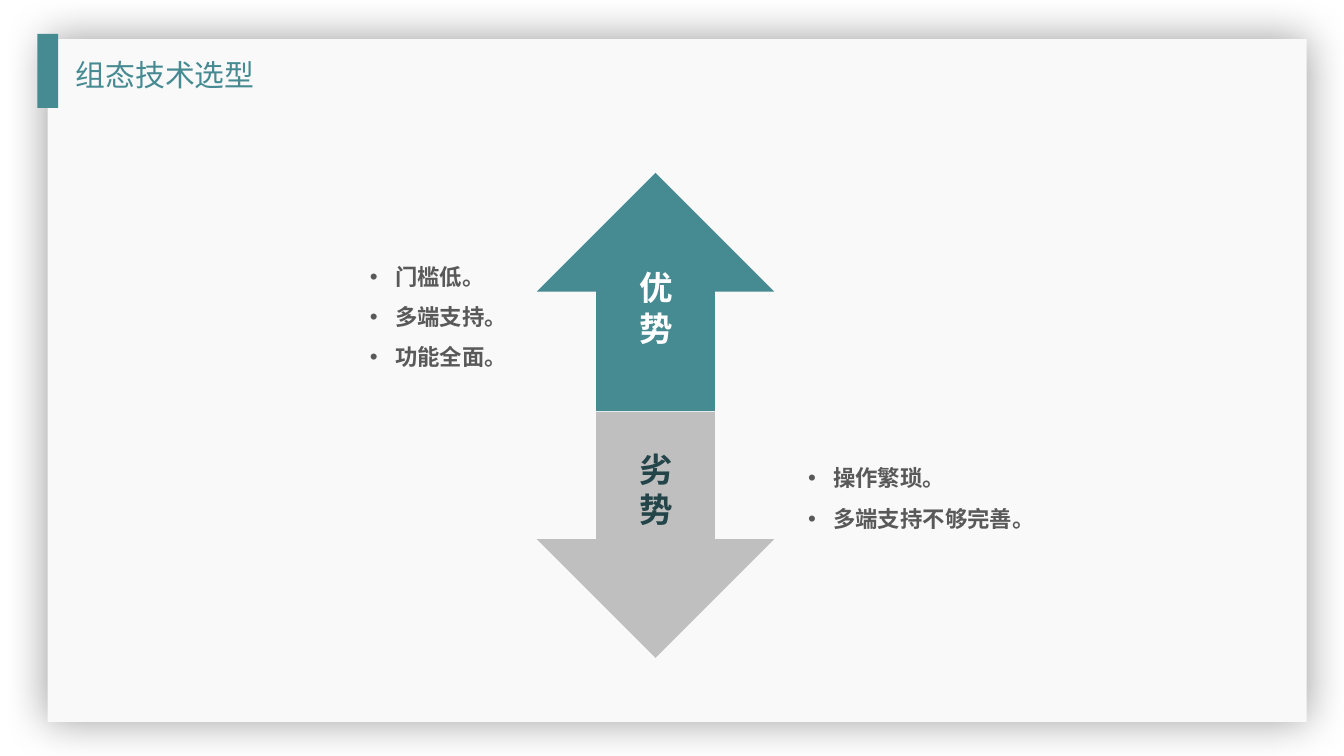
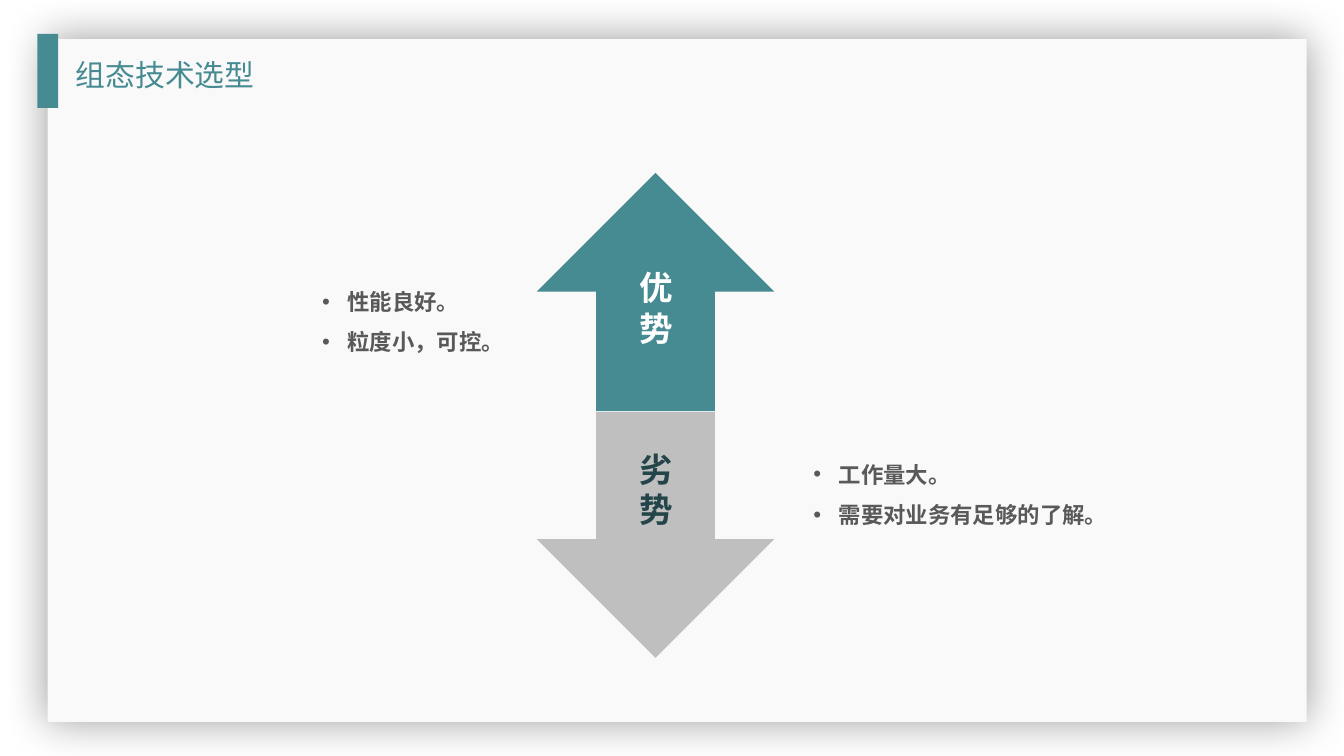
from lxml import etree
from pptx import Presentation
from pptx.dml.color import RGBColor
from pptx.enum.shapes import MSO_SHAPE
from pptx.enum.text import MSO_ANCHOR, MSO_AUTO_SIZE, PP_ALIGN
from pptx.oxml.ns import qn
from pptx.util import Pt

RECT = MSO_SHAPE.RECTANGLE
UP, DOWN = MSO_SHAPE.UP_ARROW, MSO_SHAPE.DOWN_ARROW
TOP, NO_FIT = MSO_ANCHOR.TOP, MSO_AUTO_SIZE.NONE
LEFT, JUSTIFY = PP_ALIGN.LEFT, PP_ALIGN.JUSTIFY

FONT = "Noto Sans CJK SC"
TEAL, DARK_TEAL, WHITE = "468A92", "234549", "FFFFFF"
PANEL, GREY, BODY = "F9F9F9", "BFBFBF", "595959"
TWO_CONTENT = 3

PANEL_BOX = (25.5, 21, 674.5, 365.7)
ACCENT_BOX = (20, 18.2, 11.2, 39.6)
TITLE_BOX = (35.3, 27.4, 144.7, 25.2)
UP_BOX = (287.6, 92.6, 127.2, 127.6)
DOWN_BOX = (287.6, 220.8, 127.2, 131.7)

TITLE = "组态技术选型"
SLIDES = [
    {"pros": ((193, 131, 127.4, 68.4), ["门槛低。", "多端支持。", "功能全面。"]),
     "cons": ((427.7, 239, 167, 64.8), ["操作繁琐。", "多端支持不够完善。"])},
    {"pros": ((167.4, 144.3, 120, 46.8), ["性能良好。", "粒度小，可控。"]),
     "cons": ((430.6, 236.9, 167, 46.8), ["工作量大。", "需要对业务有足够的了解。"])},
]


def rgb(color):
    return RGBColor.from_string(color)


def add_run(p, text, size, color, bold=False):
    r = p.add_run()
    r.text = text
    font = r.font
    font.size, font.bold, font.name = Pt(size), bold, FONT
    font.color.rgb = rgb(color)
    etree.SubElement(r._r.get_or_add_rPr(), qn("a:ea"), typeface=FONT)


def set_frame(tf, x_inset, y_inset):
    tf.word_wrap = True
    tf.auto_size = NO_FIT
    tf.vertical_anchor = TOP
    tf.margin_left = tf.margin_right = Pt(x_inset)
    tf.margin_top = tf.margin_bottom = Pt(y_inset)


def place(sp, box):
    sp.left, sp.top, sp.width, sp.height = map(Pt, box)


def add_filled(shapes, kind, box, color):
    sp = shapes.add_shape(kind, *map(Pt, box))
    sp.shadow.inherit = False
    sp.fill.solid()
    sp.fill.fore_color.rgb = rgb(color)
    sp.line.fill.background()
    return sp


def add_glow(sp):
    """Give the shape a soft, centred black shadow."""
    effects = sp._element.spPr.find(qn("a:effectLst"))
    shadow = etree.SubElement(effects, qn("a:outerShdw"), blurRad=str(Pt(23)),
                              dist="0", dir="0", algn="ctr", rotWithShape="0")
    black = etree.SubElement(shadow, qn("a:srgbClr"), val="000000")
    etree.SubElement(black, qn("a:alpha"), val="40000")


def move_frame_to_layout(slide):
    """Draw the panel and accent bar, then hand them to the slide's layout."""
    panel = add_filled(slide.shapes, RECT, PANEL_BOX, PANEL)
    add_glow(panel)
    accent = add_filled(slide.shapes, RECT, ACCENT_BOX, TEAL)
    tree = slide.slide_layout.shapes.element
    for offset, sp in enumerate((panel, accent)):
        tree.insert(2 + offset, sp.element)


def set_title(slide, text):
    sp = slide.shapes.title
    place(sp, TITLE_BOX)
    tf = sp.text_frame
    set_frame(tf, 5.4, 2.7)
    p = tf.paragraphs[0]
    p.alignment = JUSTIFY
    add_run(p, text, 16, TEAL)


def fill_list(sp, box, items):
    place(sp, box)
    tf = sp.text_frame
    set_frame(tf, 5.2, 2.7)
    for i, item in enumerate(items):
        p = tf.add_paragraph() if i else tf.paragraphs[0]
        pPr = p._p.get_or_add_pPr()
        pPr.set("marL", str(Pt(13.5)))
        pPr.set("indent", str(-Pt(13.5)))
        etree.SubElement(pPr, qn("a:buFont"), typeface="Arial")
        etree.SubElement(pPr, qn("a:buChar"), char="•")
        p.alignment = LEFT
        p.line_spacing = 1.5
        p.space_before = Pt(0)
        add_run(p, item, 12, BODY, bold=True)


def add_arrow(slide, kind, box, fill, label, color, label_drop):
    """Group an arrow with a narrow label, label_drop below the box's top."""
    shapes = slide.shapes.add_group_shape().shapes
    add_filled(shapes, kind, box, fill)
    x, y, w, _ = box
    label_w = 31.4
    label_box = (x + (w - label_w) / 2, y + label_drop, label_w, 51)
    tf = shapes.add_textbox(*map(Pt, label_box)).text_frame
    set_frame(tf, 7.2, 3.6)
    add_run(tf.paragraphs[0], label, 18, color, bold=True)


def fill_slide(slide, pros, cons):
    set_title(slide, TITLE)
    fill_list(slide.placeholders[1], *pros)
    fill_list(slide.placeholders[2], *cons)
    add_arrow(slide, UP, UP_BOX, TEAL, "优势", WHITE, 47)
    add_arrow(slide, DOWN, DOWN_BOX, GREY, "劣势", DARK_TEAL, 16)


def main():
    prs = Presentation()
    prs.slide_width, prs.slide_height = Pt(720), Pt(405)
    layout = prs.slide_layouts[TWO_CONTENT]
    slides = [prs.slides.add_slide(layout) for _ in SLIDES]
    move_frame_to_layout(slides[0])
    for slide, content in zip(slides, SLIDES):
        fill_slide(slide, **content)
    prs.save("out.pptx")


if __name__ == "__main__":
    main()
